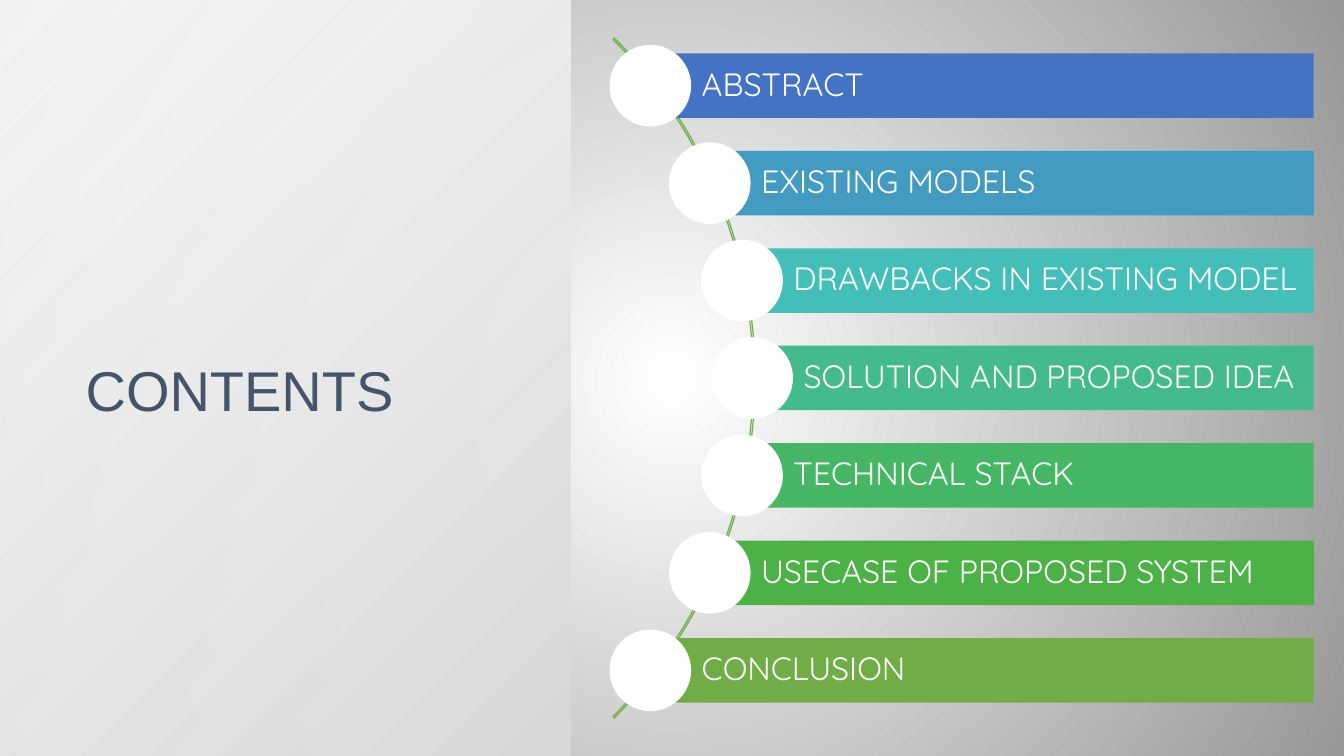
from lxml import etree
from pptx import Presentation
from pptx.dml.color import RGBColor
from pptx.enum.shapes import MSO_SHAPE as Kind
from pptx.enum.text import MSO_ANCHOR as Anchor, MSO_AUTO_SIZE as Fit, PP_ALIGN as Align
from pptx.oxml.ns import qn
from pptx.util import Inches, Pt

ROWS = [
    ("ABSTRACT", 6.45, "4472C4"),
    ("EXISTING MODELS", 7.04, "449BC1"),
    ("DRAWBACKS IN EXISTING MODEL", 7.36, "43BEB9"),
    ("SOLUTION AND PROPOSED IDEA", 7.46, "43BB8D"),
    ("TECHNICAL STACK", 7.36, "45B664"),
    ("USECASE OF PROPOSED SYSTEM", 7.04, "4CB146"),
    ("CONCLUSION", 6.45, "70AD47"),
]
TOP, LAST, RIGHT = 0.53, 6.33, 13.03
STEP = (LAST - TOP) / (len(ROWS) - 1)
BAR, DOT = 0.64, 0.81


def color(code):
    return RGBColor.from_string(code)


class Deck:
    head = "Arial"
    body = "Quicksand"

    def __init__(self):
        self.prs = Presentation()
        self.prs.slide_width, self.prs.slide_height = Inches(13.33), Inches(7.5)
        self.slide = self.prs.slides.add_slide(self.prs.slide_layouts[5])

    def shape(self, kind, box, fill=None):
        item = self.slide.shapes.add_shape(kind, *map(Inches, box))
        item.shadow.inherit = False
        item.line.fill.background()
        if fill:
            item.fill.solid()
            item.fill.fore_color.rgb = color(fill)
        else:
            item.fill.background()
        return item

    def blend(self, node, stops, focus):
        """Swap the first solid fill under node for a circular gradient."""
        solid = next(node.iter(qn("a:solidFill")))
        grad = etree.Element(qn("a:gradFill"), rotWithShape="1")
        group = etree.SubElement(grad, qn("a:gsLst"))
        for pos, code, alpha in stops:
            stop = etree.SubElement(group, qn("a:gs"), pos=str(pos * 1000))
            tint = etree.SubElement(stop, qn("a:srgbClr"), val=code)
            if alpha < 100:
                etree.SubElement(tint, qn("a:alpha"), val=str(alpha * 1000))
        track = etree.SubElement(grad, qn("a:path"), path="circle")
        sides = {side: str(val * 1000) for side, val in zip("ltrb", focus)}
        etree.SubElement(track, qn("a:fillToRect"), **sides)
        solid.getparent().replace(solid, grad)

    def backdrop(self):
        fill = self.slide.background.fill
        fill.solid()
        fill.fore_color.rgb = color("FFFFFF")
        self.blend(self.slide.element, [(0, "FFFFFF", 100), (100, "979797", 100)],
                   (50, 50, 50, 50))

    def panel(self, box):
        item = self.shape(Kind.RECTANGLE, box, "D9D9D9")
        self.blend(item.element, [(0, "D9D9D9", 100), (100, "FFFFFF", 89)],
                   (100, 100, 0, 0))
        # Send behind the title
        self.slide.shapes.element.insert(2, item.element)

    def label(self, frame, text, face, size, code, anchor):
        frame.text = text
        frame.word_wrap = True
        frame.auto_size = Fit.NONE
        frame.vertical_anchor = anchor
        para = frame.paragraphs[0]
        para.alignment = Align.LEFT
        para.line_spacing = 0.9
        font = para.font
        font.name, font.size, font.color.rgb = face, Pt(size), color(code)

    def title(self, text, box):
        item = self.slide.shapes.title
        item.left, item.top, item.width, item.height = map(Inches, box)
        self.label(item.text_frame, text, self.head, 40, "44546A", Anchor.BOTTOM)

    def arc(self, box):
        item = self.shape(Kind.BLOCK_ARC, box)
        for i, val in enumerate((189, 27, 0.002)):
            item.adjustments[i] = val
        item.line.color.rgb = color("70AD47")
        item.line.width = Pt(0.85)

    def bar(self, text, left, top, fill):
        item = self.shape(Kind.RECTANGLE, (left, top, RIGHT - left, BAR), fill)
        frame = item.text_frame
        frame.margin_left = Inches(0.51)
        frame.margin_top = frame.margin_right = frame.margin_bottom = Inches(0.06)
        self.label(frame, text, self.body, 23, "FFFFFF", Anchor.MIDDLE)

    def dot(self, left, top):
        self.shape(Kind.OVAL, (left, top, DOT, DOT), "FFFFFF")


def main():
    deck = Deck()
    # Background, side panel and title
    deck.backdrop()
    deck.panel((0, 0, 5.66, 7.5))
    deck.title("CONTENTS", (0.75, 0.75, 4.25, 3.5))
    # Curve with one bar and dot per topic
    deck.arc((-2.05, -1.02, 9.54, 9.54))
    for i, (text, left, fill) in enumerate(ROWS):
        top = TOP + i * STEP
        deck.bar(text, left, top, fill)
        deck.dot(left - DOT / 2, top + (BAR - DOT) / 2)
    deck.prs.save("out.pptx")


if __name__ == "__main__":
    main()
